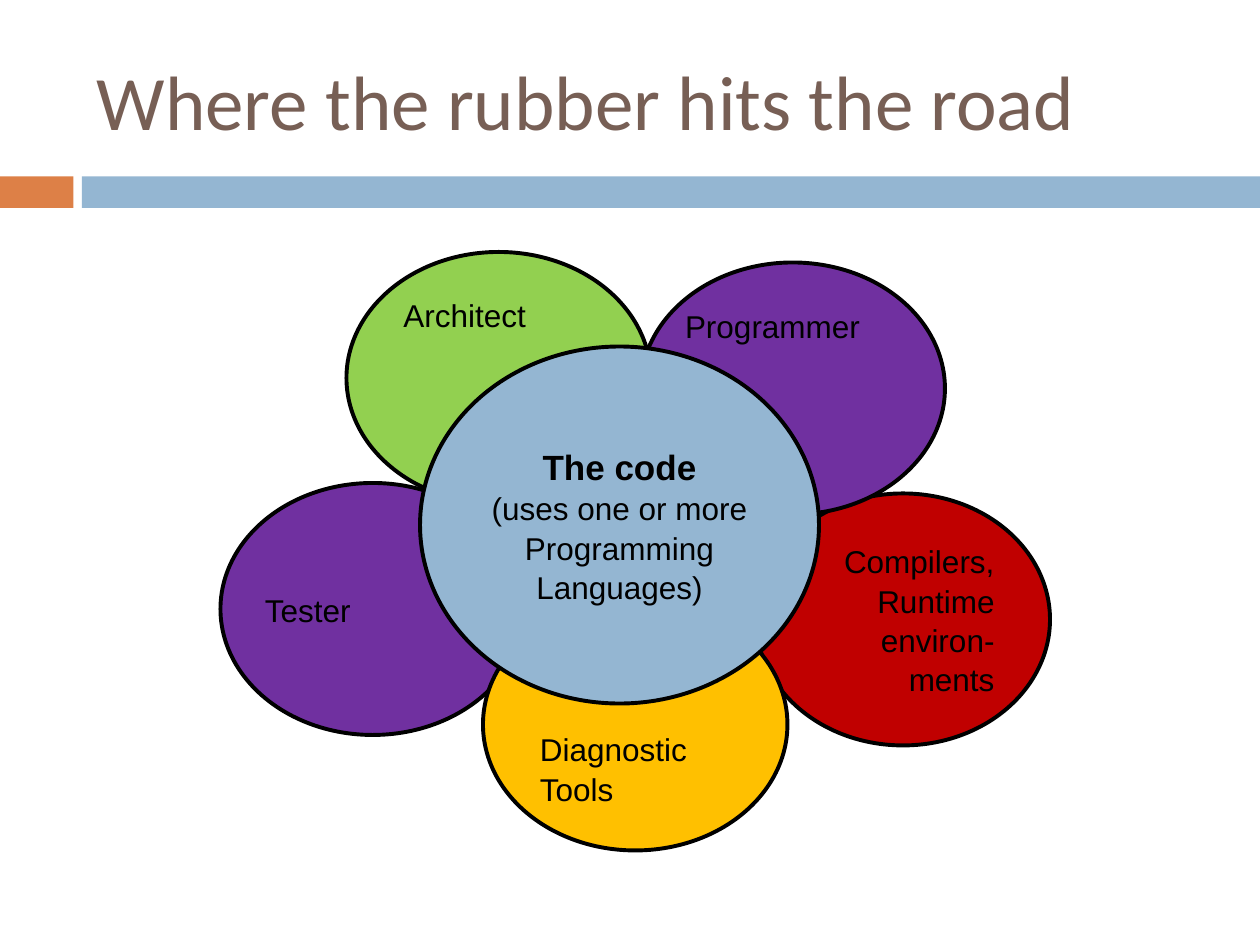
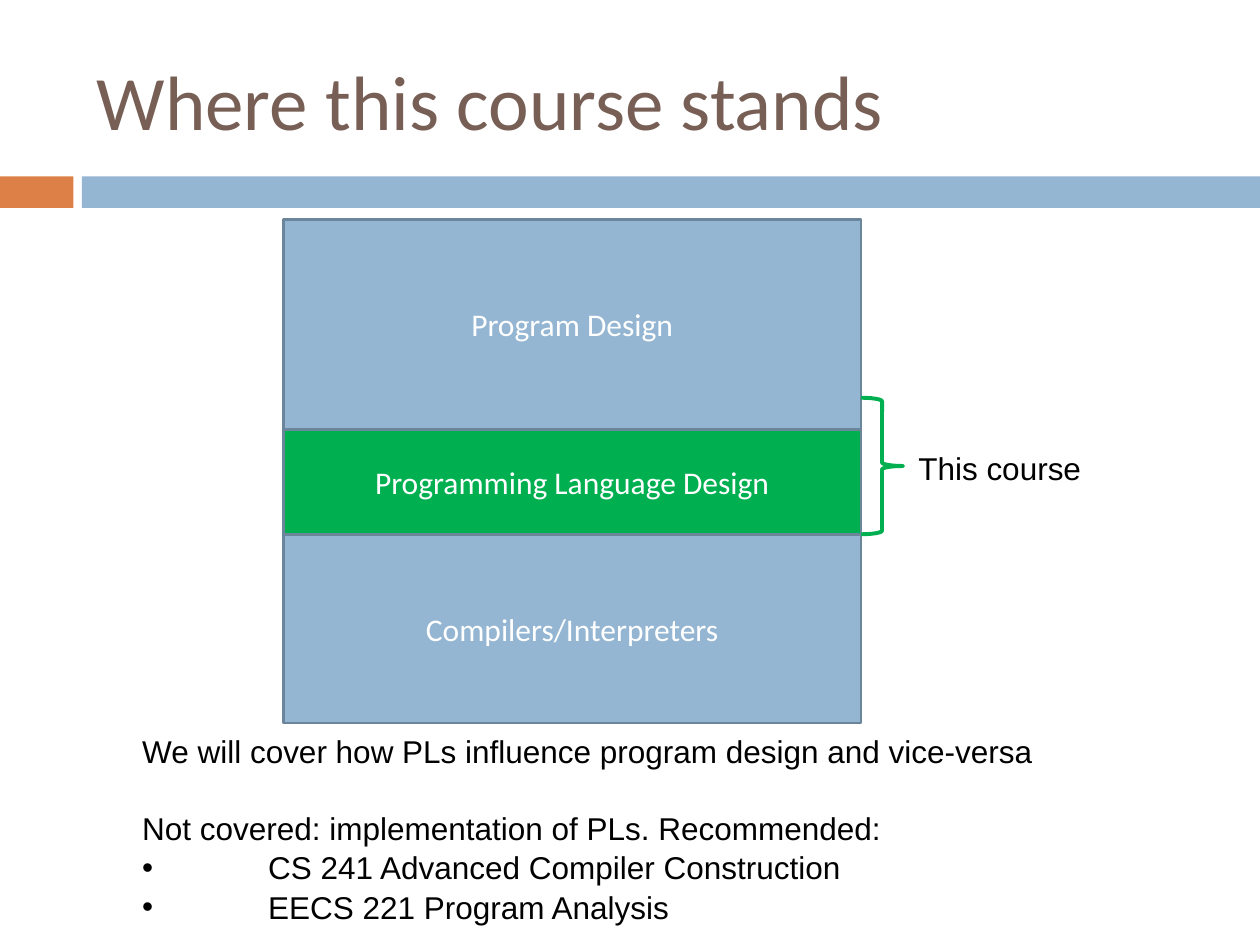
from pptx import Presentation
from pptx import util as u
from pptx.dml.color import RGBColor
from pptx.enum import shapes, text
from pptx.oxml import parse_xml
from pptx.oxml.ns import nsdecls

COLORS = {
    "title": "775F55",
    "orange": "DD8047",
    "blue": "94B6D2",
    "edge": "6B859A",
    "lime": "92D050",
    "green": "00B050",
    "purple": "7030A0",
    "red": "C00000",
    "amber": "FFC000",
    "black": "000000",
    "white": "FFFFFF",
}
SHAPE = shapes.MSO_SHAPE
ALIGN = text.PP_ALIGN
ANCHOR = text.MSO_ANCHOR
BODY = {"name": "Arial", "size": u.Pt(18), "color": "black"}
HEADING = {"name": "Calibri", "size": u.Pt(44), "color": "title"}
LAYER = {"name": "Calibri", "size": u.Pt(18), "color": "white"}


def rgb(name):
    return RGBColor.from_string(COLORS[name])


def points(*values):
    return [u.Pt(value) for value in values]


class Slides:
    def __init__(self):
        self.deck = Presentation()
        self.deck.slide_width, self.deck.slide_height = points(720, 540)
        self.layout = self.deck.slide_layouts[5]
        self.page = None

    def start(self, title):
        first = self.page is None
        self.page = self.deck.slides.add_slide(self.layout)
        if first:
            self.add_bands()
        box = self.page.shapes.title
        box.left, box.top, box.width, box.height = points(48, 18, 642, 78)
        self.fill_text(box, [title], HEADING, anchor=ANCHOR.MIDDLE)

    def add_bands(self):
        for left, width, color in ((0, 42, "orange"), (46.8, 673.2, "blue")):
            band = self.shape(SHAPE.RECTANGLE, (left, 100.8, width, 18), color)
            self.layout.shapes.element.append(band.element)

    def shape(self, kind, place, fill=None, line=None, weight=2.25):
        item = self.page.shapes.add_shape(kind, *points(*place))
        item.shadow.inherit = False
        if fill:
            item.fill.solid()
            item.fill.fore_color.rgb = rgb(fill)
        else:
            item.fill.background()
        if line:
            item.line.color.rgb = rgb(line)
            item.line.width = u.Pt(weight)
        else:
            item.line.fill.background()
        return item

    def label(self, place, lines):
        box = self.page.shapes.add_textbox(*points(*place))
        fit = text.MSO_AUTO_SIZE.SHAPE_TO_FIT_TEXT
        self.fill_text(box, lines, BODY, word_wrap=False, auto_size=fit)
        return box

    def fill_text(self, box, lines, font, align=ALIGN.LEFT, anchor=ANCHOR.TOP, **frame_format):
        frame = box.text_frame
        settings = {"word_wrap": True, "auto_size": text.MSO_AUTO_SIZE.NONE,
                    "vertical_anchor": anchor} | frame_format
        for name, value in settings.items():
            setattr(frame, name, value)
        for index, line in enumerate(lines):
            para = frame.paragraphs[0] if index == 0 else frame.add_paragraph()
            para.alignment = align
            if font is BODY:
                para.line_spacing = 1.04
            span = para.add_run()
            span.text = line
            self.style(span, font)

    def style(self, span, font):
        for name, value in font.items():
            if name == "color":
                span.font.color.rgb = rgb(value)
            else:
                setattr(span.font, name, value)

    def bullet(self, para, indent):
        props = para._p.get_or_add_pPr()
        props.set("marL", str(u.Pt(indent)))
        props.set("indent", str(-u.Pt(indent)))
        for mark in ('<a:buFont {} typeface="Arial"/>', '<a:buChar {} char="•"/>'):
            props.append(parse_xml(mark.format(nsdecls("a"))))


def add_flower(slides):
    slides.start("Where the rubber hits the road")
    flush = {"margin_left": 0}
    unwrapped = {"margin_left": 0, "margin_right": 0, "word_wrap": False}
    petals = [
        (198, 144, 174, "lime", ["Architect"], ALIGN.LEFT, ANCHOR.TOP, {}),
        (432, 282, 168, "red", ["Compilers,", "Runtime environ-ments"],
         ALIGN.RIGHT, ANCHOR.MIDDLE, {}),
        (366, 150, 174, "purple", ["Programmer"], ALIGN.LEFT, ANCHOR.TOP, unwrapped),
        (126, 276, 174, "purple", ["Tester"], ALIGN.LEFT, ANCHOR.MIDDLE, flush),
        (276, 342, 174, "amber", ["Diagnostic", "Tools"], ALIGN.LEFT, ANCHOR.BOTTOM, {}),
    ]
    for left, top, width, fill, lines, align, anchor, frame_format in petals:
        petal = slides.shape(SHAPE.OVAL, (left, top, width, 144), fill, "black")
        slides.fill_text(petal, lines, BODY, align, anchor, **frame_format)

    center = slides.shape(SHAPE.OVAL, (240, 198, 228, 204), "blue", "black")
    lines = ["The code", "(uses one or more Programming Languages)"]
    slides.fill_text(center, lines, BODY, ALIGN.CENTER, ANCHOR.MIDDLE)
    heading = center.text_frame.paragraphs[0].runs[0]
    slides.style(heading, {"size": u.Pt(20), "bold": True})


def add_layers(slides):
    slides.start("Where this course stands")
    layers = [
        ("Program Design", 120, "blue"),
        ("Programming Language Design", 60, "green"),
        ("Compilers/Interpreters", 108, "blue"),
    ]
    top = 125.3
    for name, height, fill in layers:
        layer = slides.shape(SHAPE.RECTANGLE, (162, top, 330, height), fill, "edge", 1.5)
        slides.fill_text(layer, [name], LAYER, ALIGN.CENTER, ANCHOR.MIDDLE)
        top += height

    slides.label((517.7, 252, 107.3, 28.8), ["This course"])
    slides.shape(SHAPE.RIGHT_BRACE, (492, 227.3, 24, 78), line="green")
    notes = slides.label((74.2, 414, 523.4, 115.2), [
        "We will cover how PLs influence program design and vice-versa",
        "Not covered: implementation of PLs. Recommended:",
        "CS 241 Advanced Compiler Construction",
        "EECS 221 Program Analysis",
    ])
    paras = notes.text_frame.paragraphs
    paras[1].space_before = u.Pt(21.5)
    for para in paras[2:]:
        slides.bullet(para, 72)


def main():
    slides = Slides()
    add_flower(slides)
    add_layers(slides)
    slides.deck.save("out.pptx")


if __name__ == "__main__":
    main()
